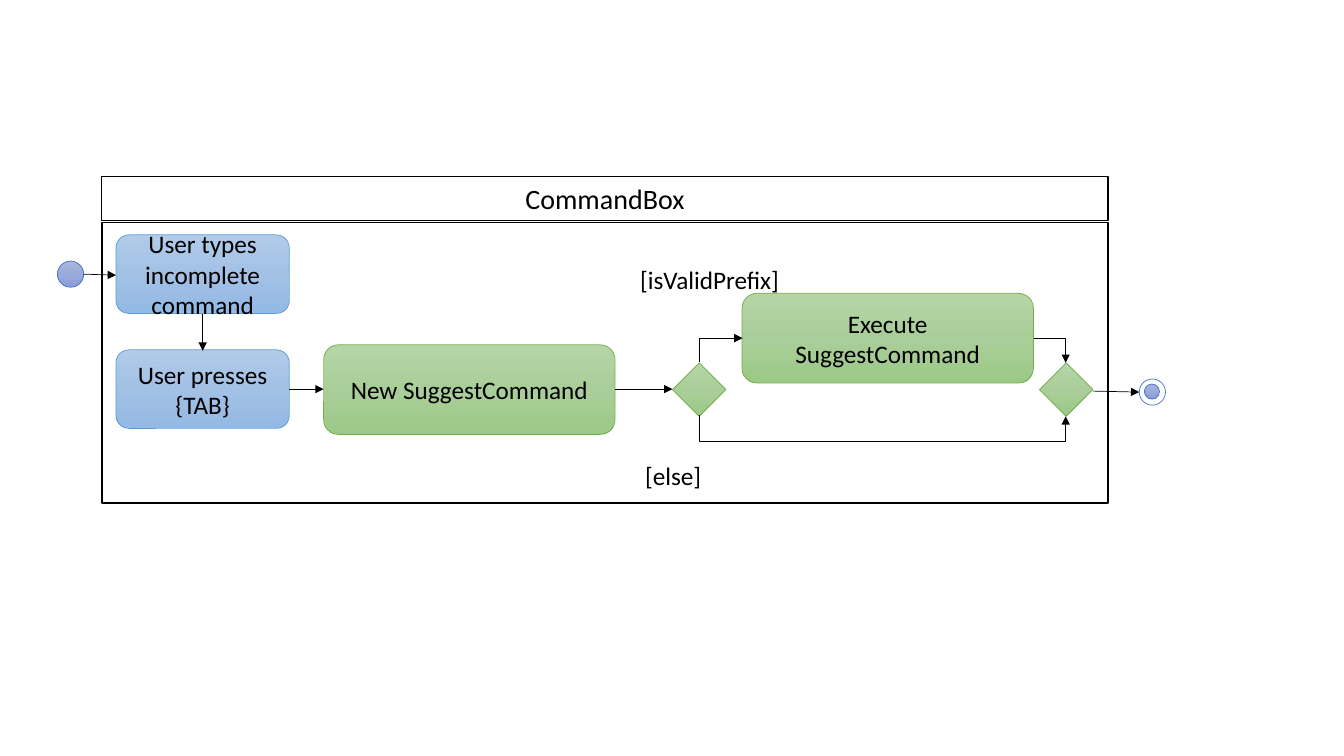
from copy import deepcopy

from lxml.etree import SubElement
from pptx import Presentation
from pptx.dml.color import RGBColor
from pptx.enum.shapes import MSO_CONNECTOR, MSO_SHAPE
from pptx.enum.text import MSO_ANCHOR, MSO_AUTO_SIZE, PP_ALIGN
from pptx.oxml.ns import qn
from pptx.util import Inches, Pt

COLORS = {
    "black": "000000",
    "white": "FFFFFF",
    "indigo_line": "4472C4",
    "blue_line": "5B9BD5",
    "green_line": "70AD47",
}
GRADIENTS = {
    "indigo": ("A8B7DF", "9AABD9", "889ED7"),
    "blue": ("B1CBE9", "A3C1E5", "93B9E4"),
    "green": ("B5D5A7", "AACE9A", "9CC987"),
}


def rgb(name):
    return RGBColor.from_string(COLORS[name])


def set_gradient(sp, name):
    """Fill a shape from top to bottom with three evenly spaced stops."""
    sp.fill.gradient()
    sp.fill.gradient_angle = 270
    stop_list = sp._element.spPr.find(".//" + qn("a:gsLst"))
    stop_list.insert(1, deepcopy(stop_list[0]))
    for i, (stop, color) in enumerate(zip(sp.fill.gradient_stops, GRADIENTS[name])):
        stop.position = i / 2
        stop.color.rgb = RGBColor.from_string(color)


def write_text(sp, text, size=18, align=PP_ALIGN.CENTER, anchor=MSO_ANCHOR.MIDDLE,
               auto_size=MSO_AUTO_SIZE.NONE):
    tf = sp.text_frame
    tf.word_wrap = True
    tf.auto_size = auto_size
    tf.vertical_anchor = anchor
    p = tf.paragraphs[0]
    p.alignment = align
    r = p.add_run()
    r.text = text
    r.font.size = Pt(size)
    r.font.name = "Calibri"
    r.font.color.rgb = rgb("black")


def add_node(shapes, kind, box, fill=None, line="black", width=0.5):
    """Add a preset shape; fill is a gradient name, a colour name or None."""
    sp = shapes.add_shape(kind, *map(Inches, box))
    sp.shadow.inherit = False
    if fill in GRADIENTS:
        set_gradient(sp, fill)
    elif fill:
        sp.fill.solid()
        sp.fill.fore_color.rgb = rgb(fill)
    else:
        sp.fill.background()
    sp.line.color.rgb = rgb(line)
    sp.line.width = Pt(width)
    return sp


def add_action(shapes, text, left, top, color):
    size = (1.72, 0.78) if color == "blue" else (2.89, 0.89)
    sp = add_node(shapes, MSO_SHAPE.ROUNDED_RECTANGLE, (left, top, *size),
                  color, color + "_line")
    write_text(sp, text)


def add_circle(shapes, left, top, size, fill):
    add_node(shapes, MSO_SHAPE.OVAL, (left, top, size, size), fill, "indigo_line")


def add_decision(shapes, left, top):
    add_node(shapes, MSO_SHAPE.DIAMOND, (left, top, 0.53, 0.53), "green", "green_line")


def add_guard(shapes, text, left, top, width):
    sp = shapes.add_textbox(*map(Inches, (left, top, width, 0.4)))
    write_text(sp, text, align=PP_ALIGN.LEFT, anchor=MSO_ANCHOR.TOP,
               auto_size=MSO_AUTO_SIZE.SHAPE_TO_FIT_TEXT)


def add_arrow(shapes, start, end, kind=MSO_CONNECTOR.STRAIGHT):
    cxn = shapes.add_connector(kind, *map(Inches, (*start, *end)))
    cxn.line.color.rgb = rgb("black")
    cxn.line.width = Pt(0.5)
    SubElement(cxn.line._get_or_add_ln(), qn("a:tailEnd"), type="triangle")
    SubElement(cxn._element.spPr, qn("a:effectLst"))
    return cxn


def add_bent_arrow(shapes, box, preset, adjustments=(), **transform):
    """Add an elbow arrow; transform holds rot, flipH and flipV."""
    left, top, width, height = box
    cxn = add_arrow(shapes, (left, top), (left + width, top + height),
                    MSO_CONNECTOR.ELBOW)
    sp_pr = cxn._element.spPr
    for key, value in transform.items():
        sp_pr.find(qn("a:xfrm")).set(key, value)
    geometry = sp_pr.find(qn("a:prstGeom"))
    geometry.set("prst", preset)
    guides = geometry.find(qn("a:avLst"))
    for i, value in enumerate(adjustments, 1):
        SubElement(guides, qn("a:gd"), name=f"adj{i}", fmla=f"val {value}")


def main():
    prs = Presentation()
    prs.slide_width, prs.slide_height = Inches(13.33), Inches(7.5)
    s = prs.slides.add_slide(prs.slide_layouts[6])
    shapes = s.shapes

    add_node(shapes, MSO_SHAPE.RECTANGLE, (1.01, 2.21, 9.98, 2.78), width=1)
    header = add_node(shapes, MSO_SHAPE.RECTANGLE, (1.01, 1.75, 9.98, 0.44), width=0.75)
    write_text(header, "CommandBox", size=20, anchor=MSO_ANCHOR.TOP,
               auto_size=MSO_AUTO_SIZE.SHAPE_TO_FIT_TEXT)

    add_circle(shapes, 0.57, 2.59, 0.26, "indigo")
    end_node = shapes.add_group_shape()
    add_circle(end_node.shapes, 11.3, 3.76, 0.26, "white")
    add_circle(end_node.shapes, 11.35, 3.81, 0.15, "indigo")

    for text, left, top, color in (
        ("User types incomplete command", 1.15, 2.33, "blue"),
        ("User presses {TAB}", 1.15, 3.47, "blue"),
        ("New SuggestCommand", 3.21, 3.42, "green"),
        ("Execute SuggestCommand", 7.36, 2.91, "green"),
    ):
        add_action(shapes, text, left, top, color)
    for left in (6.67, 10.31):
        add_decision(shapes, left, 3.6)
    add_guard(shapes, "[isValidPrefix]", 6.25, 2.57, 2.26)
    add_guard(shapes, "[else]", 6.3, 4.52, 0.93)

    for start, end in (
        ((0.83, 2.72), (1.15, 2.73)),
        ((2.01, 3.12), (2.01, 3.48)),
        ((2.87, 3.86), (3.21, 3.86)),
        ((6.1, 3.86), (6.67, 3.86)),
        ((10.84, 3.88), (11.3, 3.89)),
    ):
        add_arrow(shapes, start, end)
    add_bent_arrow(shapes, (7.03, 3.26, 0.24, 0.43), "bentConnector2",
                   rot="5400000", flipH="1", flipV="1")
    add_bent_arrow(shapes, (10.26, 3.36, 0.31, 0.24), "bentConnector2")
    add_bent_arrow(shapes, (6.93, 4.12, 3.64, 0.01), "bentConnector4", (300, 2600000))

    prs.save("out.pptx")


if __name__ == "__main__":
    main()
